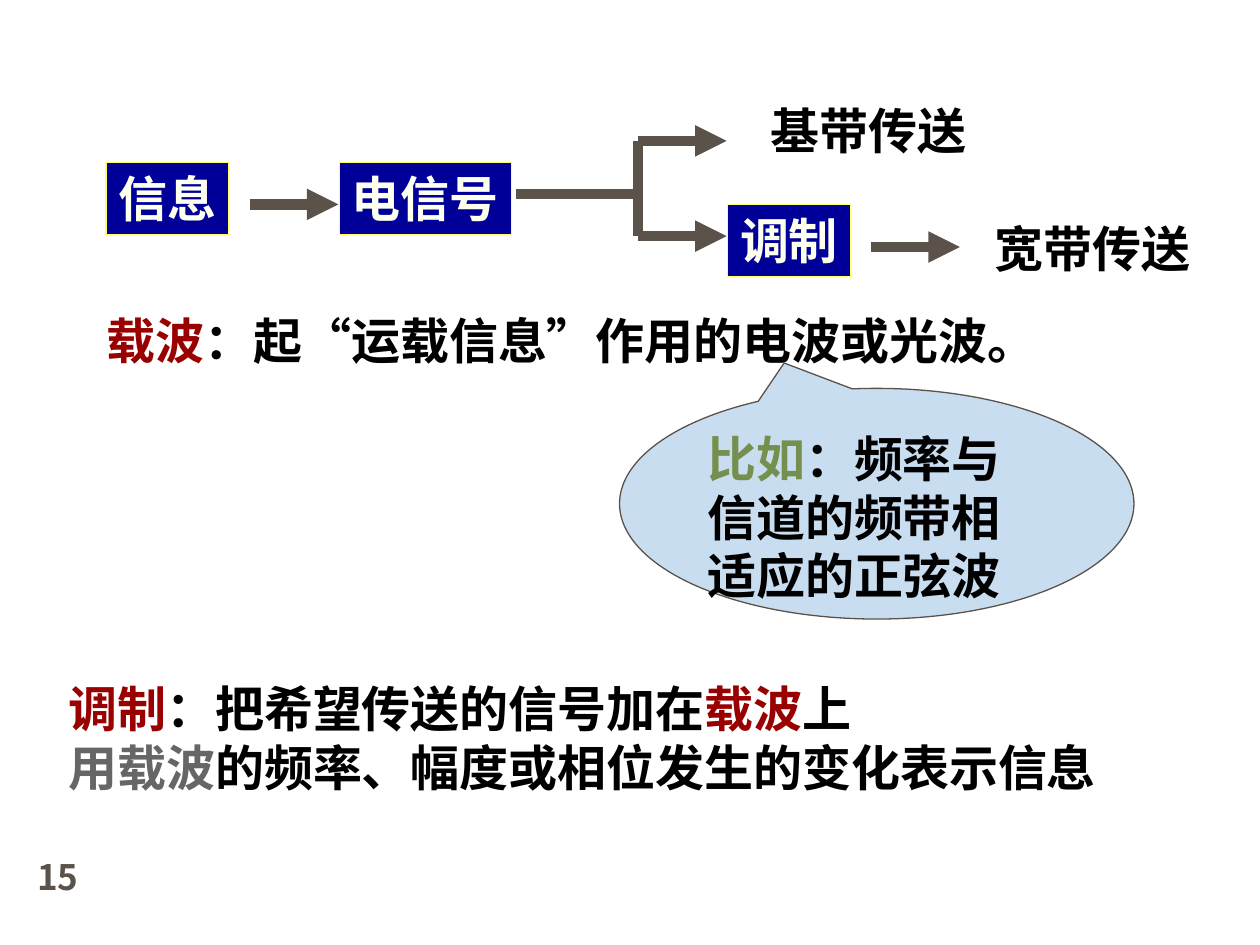
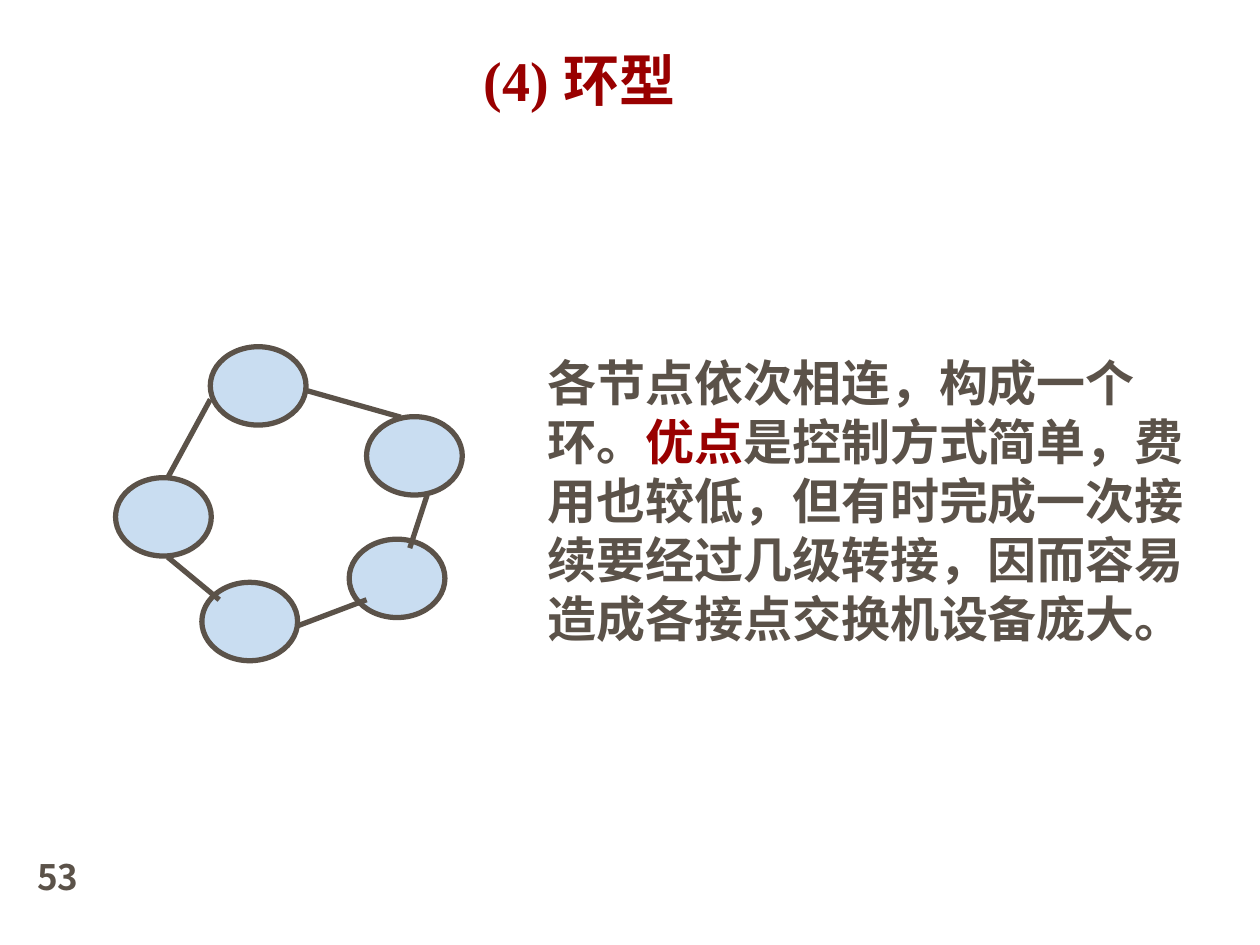
"""Build two slides on carrier modulation and the ring network topology."""
from typing import NamedTuple

import lxml.etree
import pptx
import pptx.dml.color
import pptx.enum.shapes
import pptx.enum.text
import pptx.oxml.ns
import pptx.util

Cm = pptx.util.Cm
Pt = pptx.util.Pt
Shapes = pptx.enum.shapes.MSO_SHAPE
Anchor = pptx.enum.text.MSO_ANCHOR

COLORS = {
    "ink": "5B5249",
    "black": "000000",
    "red": "990000",
    "gray": "666666",
    "green": "75904E",
    "navy": "000099",
    "yellow": "FFFF66",
    "cream": "FDFFEF",
    "sky": "C9DDF1",
}
SERIF = "Times New Roman"
SANS = "Noto Sans CJK SC"
LABEL_HEIGHT = 1.45
NODE_SIZE = (1.93, 1.58)


class Box(NamedTuple):
    left: float
    top: float
    width: float
    height: float


class Span(NamedTuple):
    text: str
    color: str


class Label(NamedTuple):
    text: str
    left: float
    top: float
    width: float


class Line(NamedTuple):
    start: tuple[float, float]
    end: tuple[float, float]
    arrow: bool = False


SIGNAL_STEPS = [
    Label("信息", 2.14, 3.28, 2.47),
    Label("电信号", 6.84, 3.28, 3.47),
    Label("调制", 14.67, 4.12, 2.47),
]
TRANSMISSION_MODES = [
    Label("基带传送", 15.29, 1.91, 4.45),
    Label("宽带传送", 19.8, 4.28, 4.45),
]
SIGNAL_LINES = [
    Line((5.03, 4.12), (6.82, 4.12), True),
    Line((12.86, 2.84), (14.65, 2.84), True),
    Line((12.86, 4.76), (14.65, 4.76), True),
    Line((12.86, 2.84), (12.86, 4.76)),
    Line((10.4, 3.91), (12.86, 3.91)),
    Line((17.55, 4.98), (19.35, 4.98), True),
]
RING_NODES = [(4.07, 11.74), (2.33, 9.63), (7.04, 10.87), (7.39, 8.4), (4.24, 6.99)]
RING_LINKS = [
    Line((4.24, 8.05), (3.38, 9.63)),
    Line((6.17, 7.87), (8.08, 8.41)),
    Line((3.38, 11.23), (4.42, 12.09)),
    Line((5.99, 12.62), (7.39, 12.09)),
    Line((8.61, 9.98), (8.26, 11.05)),
]


def rgb(name: str) -> pptx.dml.color.RGBColor:
    return pptx.dml.color.RGBColor.from_string(COLORS[name])


def write(shape, paragraphs: list[list[Span]], font: str = SERIF, size: int = 28,
          wrap: bool = True, anchor=Anchor.TOP) -> None:
    text_frame = shape.text_frame
    text_frame.word_wrap = wrap
    text_frame.vertical_anchor = anchor
    for index, spans in enumerate(paragraphs):
        paragraph = text_frame.add_paragraph() if index else text_frame.paragraphs[0]
        paragraph.alignment = pptx.enum.text.PP_ALIGN.LEFT
        paragraph._p.get_or_add_pPr().set("hangingPunct", "0")
        for span in spans:
            run = paragraph.add_run()
            run.text = span.text
            run.font.name = font
            run.font.size = Pt(size)
            run.font.bold = True
            run.font.color.rgb = rgb(span.color)
            east_asian = lxml.etree.SubElement(
                run.font._element, pptx.oxml.ns.qn("a:ea"))
            east_asian.set("typeface", SANS)


def add_text(slide, box: Box, paragraphs: list[list[Span]], **style) -> None:
    shape = slide.shapes.add_textbox(*map(Cm, box))
    write(shape, paragraphs, **style)


def add_figure(slide, kind, box: Box, fill: str, outline: str, width: float):
    shape = slide.shapes.add_shape(kind, *map(Cm, box))
    shape.shadow.inherit = False
    shape.fill.solid()
    shape.fill.fore_color.rgb = rgb(fill)
    shape.line.color.rgb = rgb(outline)
    shape.line.width = Pt(width)
    return shape


def add_line(slide, line: Line, width: float) -> None:
    connector = slide.shapes.add_connector(
        pptx.enum.shapes.MSO_CONNECTOR.STRAIGHT, *map(Cm, line.start + line.end))
    connector.line.color.rgb = rgb("ink")
    connector.line.width = Pt(width)
    if line.arrow:
        head = lxml.etree.SubElement(
            connector.line._get_or_add_ln(), pptx.oxml.ns.qn("a:tailEnd"))
        head.set("type", "triangle")
    lxml.etree.SubElement(connector._element.spPr, pptx.oxml.ns.qn("a:effectLst"))


def add_slide(presentation, number: int):
    slide = presentation.slides.add_slide(presentation.slide_layouts[6])
    add_text(slide, Box(0.5, 17.13, 1.4, 1.27), [[Span(str(number), "ink")]],
             font=SANS, size=20)
    return slide


def build_modulation(presentation) -> None:
    slide = add_slide(presentation, 15)
    for line in SIGNAL_LINES:
        add_line(slide, line, 6)
    for step in SIGNAL_STEPS:
        box = Box(step.left, step.top, step.width, LABEL_HEIGHT)
        shape = add_figure(slide, Shapes.RECTANGLE, box, "navy", "yellow", 0.75)
        write(shape, [[Span(step.text, "cream")]], wrap=False)
    for mode in TRANSMISSION_MODES:
        box = Box(mode.left, mode.top, mode.width, LABEL_HEIGHT)
        add_text(slide, box, [[Span(mode.text, "black")]], wrap=False)
    add_text(slide, Box(1.13, 13.55, 23.75, 3.81), [
        [Span("调制", "red"), Span("：把希望传送的信号加在", "black"),
         Span("载波", "red"), Span("上", "black")],
        [Span("用载波", "gray"),
         Span("的频率、幅度或相位发生的变化表示信息", "black")],
    ])
    add_text(slide, Box(1.9, 6.14, 22.43, 2.64), [
        [Span("载波", "red"), Span("：起“运载信息”作用的电波或光波。", "black")],
    ])
    callout = add_figure(slide, Shapes.OVAL_CALLOUT, Box(12.49, 7.83, 10.37, 4.65),
                         "sky", "ink", 0.75)
    callout.adjustments[0] = -0.18
    callout.adjustments[1] = -0.61
    write(callout, [[Span("比如", "green"),
                     Span("：频率与信道的频带相适应的正弦波", "black")]])


def build_ring(presentation) -> None:
    slide = add_slide(presentation, 53)
    add_text(slide, Box(9.5, 0.92, 7.62, 1.47), [[Span("(4) 环型", "red")]],
             size=32, anchor=Anchor.BOTTOM)
    for position in RING_NODES:
        add_figure(slide, Shapes.OVAL, Box(*position, *NODE_SIZE), "sky", "ink", 3)
    for link in RING_LINKS:
        add_line(slide, link, 3)
    add_text(slide, Box(10.79, 6.99, 13.54, 7.37), [[
        Span("各节点依次相连，构成一个环。", "ink"),
        Span("优点", "red"),
        Span("是控制方式简单，费用也较低，但有时完成一次接续要经过几级转接，"
             "因而容易造成各接点交换机设备庞大。", "ink"),
    ]], font=SANS)


def main() -> None:
    presentation = pptx.Presentation()
    presentation.slide_width = Cm(25.4)
    presentation.slide_height = Cm(19.05)
    build_modulation(presentation)
    build_ring(presentation)
    presentation.save("out.pptx")


if __name__ == "__main__":
    main()
